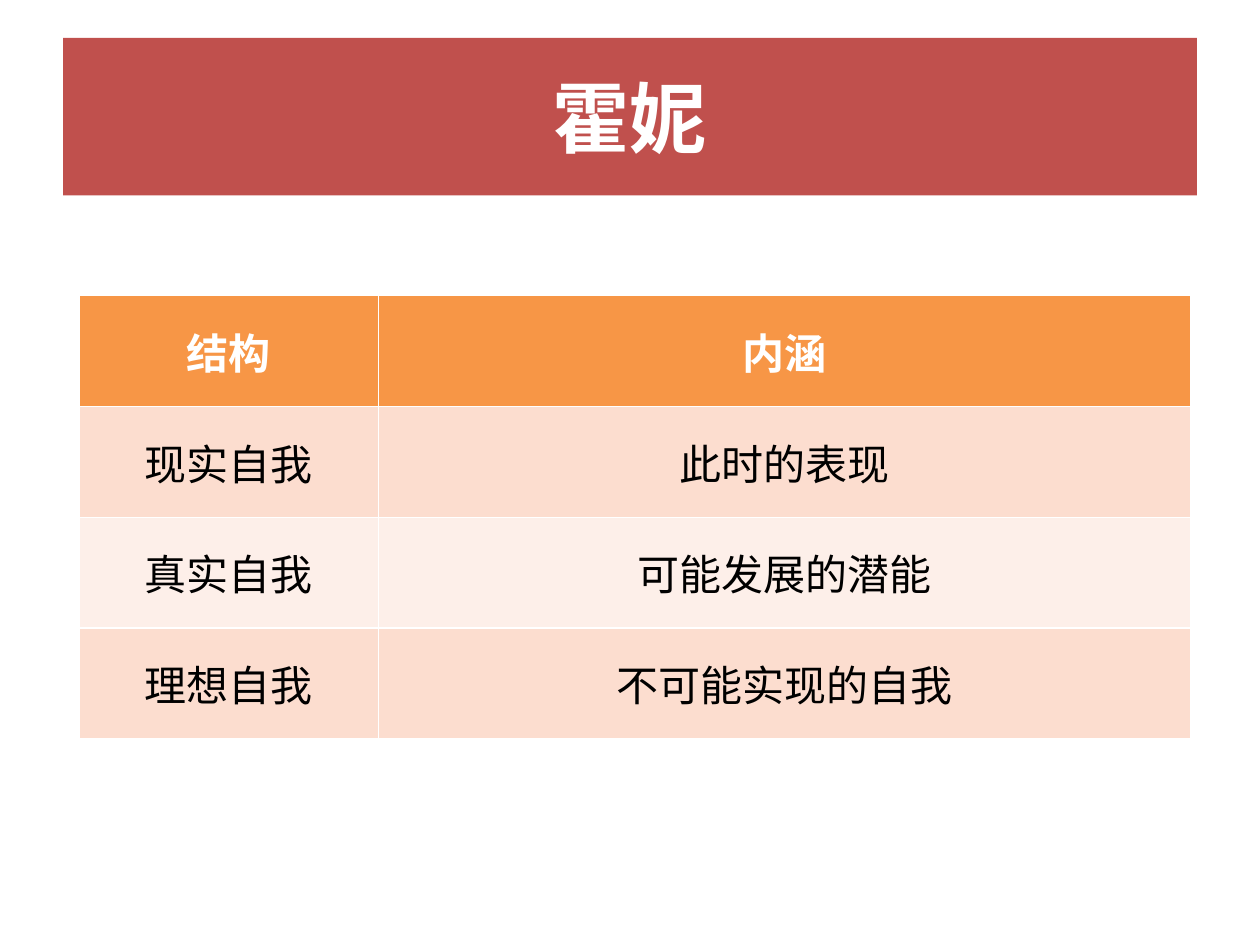
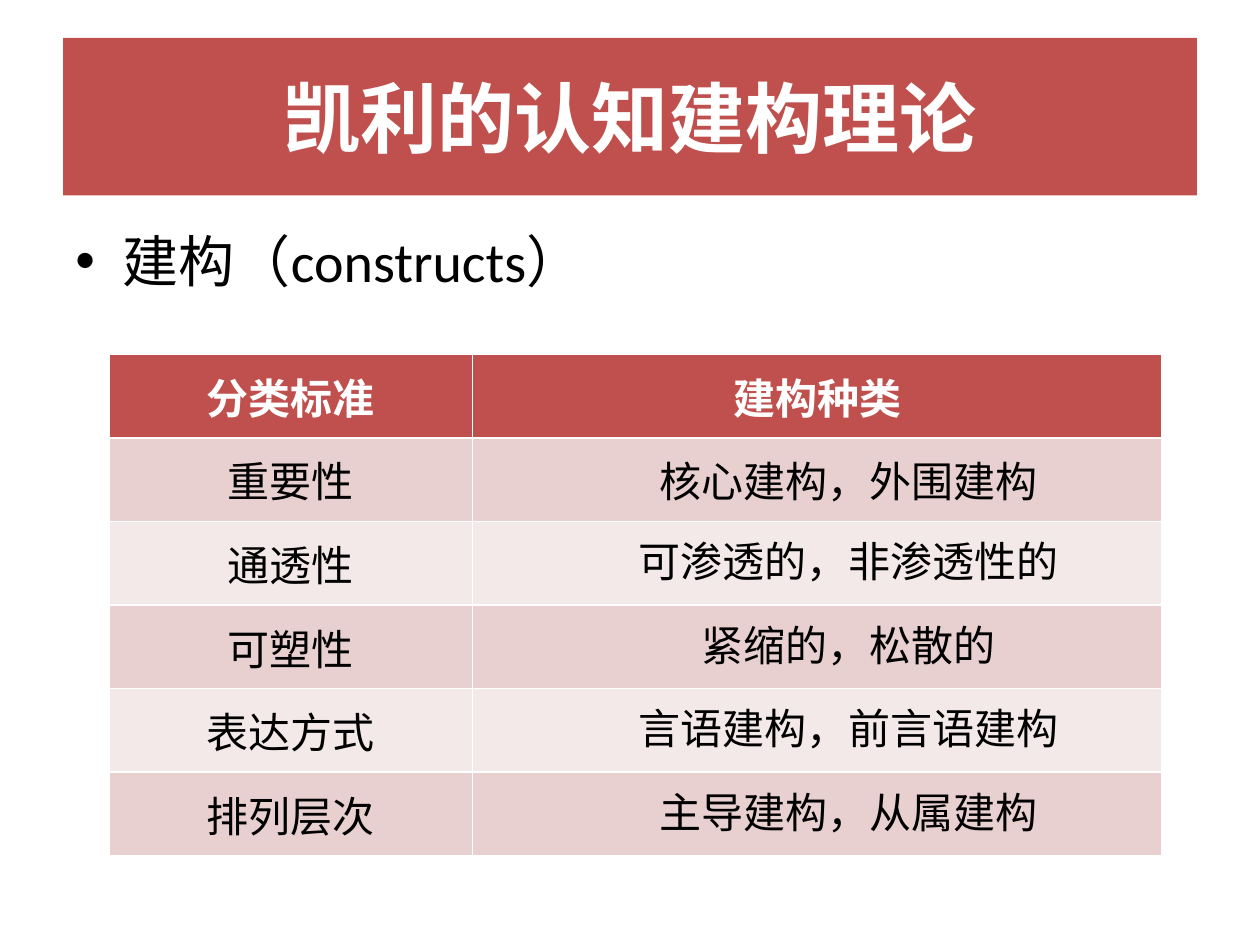
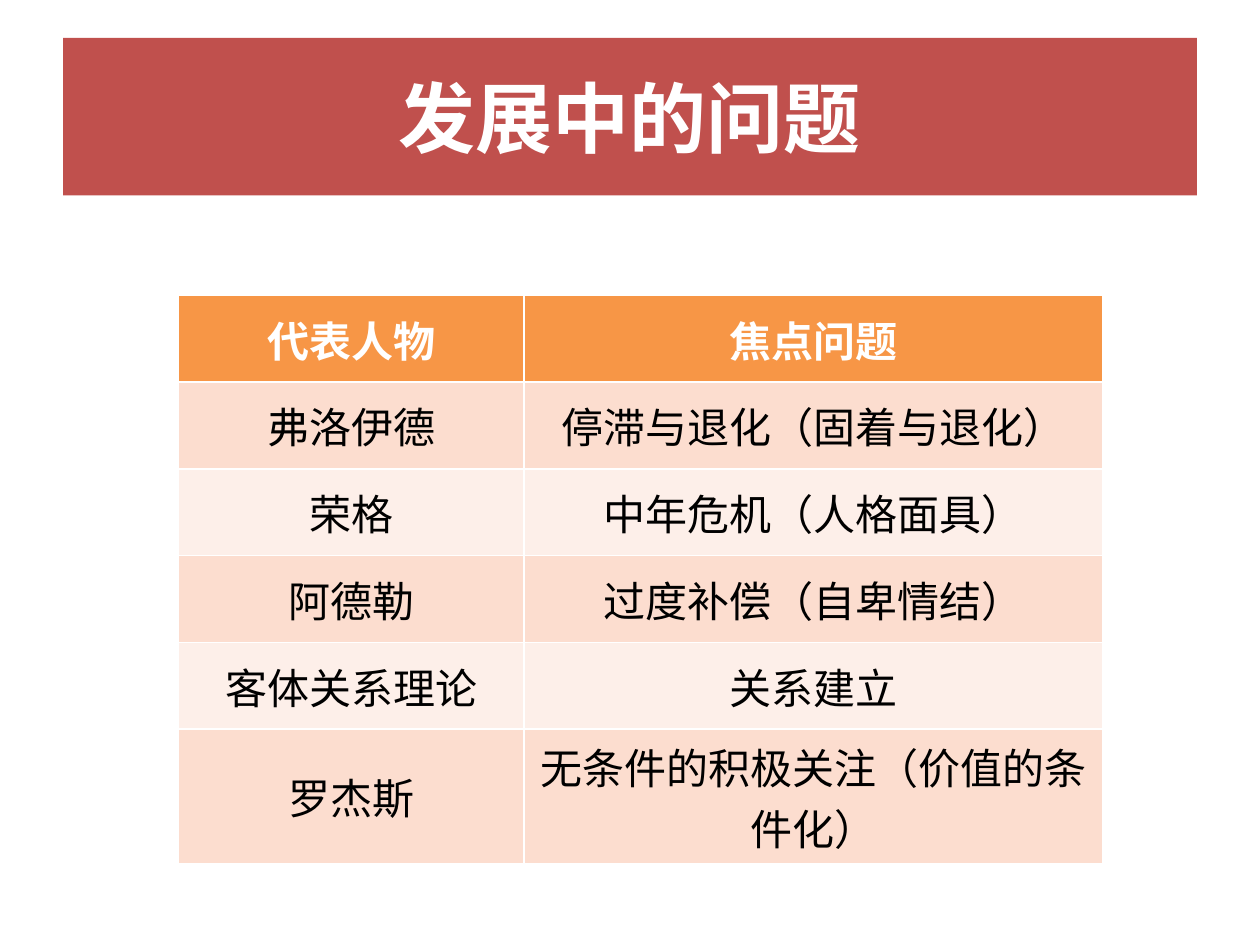
from lxml import etree
from pptx import Presentation
from pptx.dml.color import RGBColor
from pptx.enum import text as t
from pptx.oxml import ns
from pptx.util import Pt

FONT = "Calibri"
WHITE = RGBColor(0xFF, 0xFF, 0xFF)
BLACK = RGBColor(0, 0, 0)
RED = RGBColor(0xC0, 0x50, 0x4D)
ORANGE = RGBColor(0xF7, 0x96, 0x46)

# Table palettes: header, odd rows, even rows
WARM = (ORANGE, RGBColor(0xFC, 0xDD, 0xCF), RGBColor(0xFD, 0xEF, 0xE9))
ROSE = (RED, RGBColor(0xE8, 0xD0, 0xD0), RGBColor(0xF4, 0xE9, 0xE9))

BAND = (36, 21.6, 648, 90)
BODY = (36, 126, 648, 60)

SELVES = [
    ("结构", "内涵"),
    ("现实自我", "此时的表现"),
    ("真实自我", "可能发展的潜能"),
    ("理想自我", "不可能实现的自我"),
]
KINDS = [
    ("分类标准", "建构种类"),
    ("重要性", "核心建构，外围建构"),
    ("通透性", "可渗透的，非渗透性的"),
    ("可塑性", "紧缩的，松散的"),
    ("表达方式", "言语建构，前言语建构"),
    ("排列层次", "主导建构，从属建构"),
]
ISSUES = [
    ("代表人物", "焦点问题"),
    ("弗洛伊德", "停滞与退化（固着与退化）"),
    ("荣格", "中年危机（人格面具）"),
    ("阿德勒", "过度补偿（自卑情结）"),
    ("客体关系理论", "关系建立"),
    ("罗杰斯", "无条件的积极关注（价值的条件化）"),
]


def style(para, size, color, bold=False):
    for run in para.runs:
        font = run.font
        font.name, font.size, font.bold = FONT, Pt(size), bold
        font.color.rgb = color


def indent(para, left, first=0):
    props = para._p.get_or_add_pPr()
    props.set("marL", str(Pt(left)))
    props.set("indent", str(Pt(first)))
    return props


def add_slide(deck, name):
    """Title-only slide with the red title band."""
    slide = deck.slides.add_slide(deck.slide_layouts[5])
    title = slide.shapes.title
    title.left, title.top, title.width, title.height = map(Pt, BAND)
    title.fill.solid()
    title.fill.fore_color.rgb = RED
    frame = title.text_frame
    frame.text = name
    frame.vertical_anchor = t.MSO_ANCHOR.MIDDLE
    para = frame.paragraphs[0]
    para.alignment = t.PP_ALIGN.CENTER
    style(para, 44, WHITE, True)
    return slide


def add_point(slide, box, words):
    """Bulleted line of body text."""
    frame = slide.shapes.add_textbox(*map(Pt, box)).text_frame
    frame.word_wrap = True
    frame.text = words
    para = frame.paragraphs[0]
    para.space_before = Pt(6.4)
    style(para, 32, BLACK)
    props = indent(para, 27, -27)
    etree.SubElement(props, ns.qn("a:buFont")).set("typeface", "Arial")
    etree.SubElement(props, ns.qn("a:buChar")).set("char", "•")


def add_grid(slide, left, top, cols, high, rows, tones):
    """Two-column table with a header and banded rows; returns the table."""
    shape = slide.shapes.add_table(
        len(rows), len(cols), Pt(left), Pt(top), Pt(sum(cols)), Pt(high * len(rows)))
    table = shape.table
    for col, wide in zip(table.columns, cols):
        col.width = Pt(wide)
    for r, row in enumerate(rows):
        table.rows[r].height = Pt(high)
        head = r == 0
        tone = tones[0] if head else tones[2 - r % 2]
        for c, words in enumerate(row):
            cell = table.cell(r, c)
            cell.text = words
            cell.vertical_anchor = t.MSO_ANCHOR.MIDDLE
            cell.fill.solid()
            cell.fill.fore_color.rgb = tone
            para = cell.text_frame.paragraphs[0]
            para.alignment = t.PP_ALIGN.CENTER
            style(para, 24, WHITE if head else BLACK, head)
    return table


def main():
    deck = Presentation()
    deck.slide_width, deck.slide_height = Pt(720), Pt(540)

    # Three selves
    slide = add_slide(deck, "霍妮")
    add_grid(slide, 45, 168.8, (171.2, 464.2), 63.4, SELVES, WARM)

    # Kinds of constructs, second column indented
    slide = add_slide(deck, "凯利的认知建构理论")
    add_point(slide, BODY, "建构（constructs）")
    table = add_grid(slide, 62.2, 202.5, (207.9, 393.6), 47.75, KINDS, ROSE)
    for r in range(1, len(KINDS)):
        para = table.cell(r, 1).text_frame.paragraphs[0]
        para.level = 1
        indent(para, 36)
        if r > 1:
            para.line_spacing = 0.8

    # Focal issues by thinker
    slide = add_slide(deck, "发展中的问题")
    add_grid(slide, 101.8, 168.8, (197.7, 330.4), 49.6, ISSUES, WARM)

    deck.save("out.pptx")


if __name__ == "__main__":
    main()
